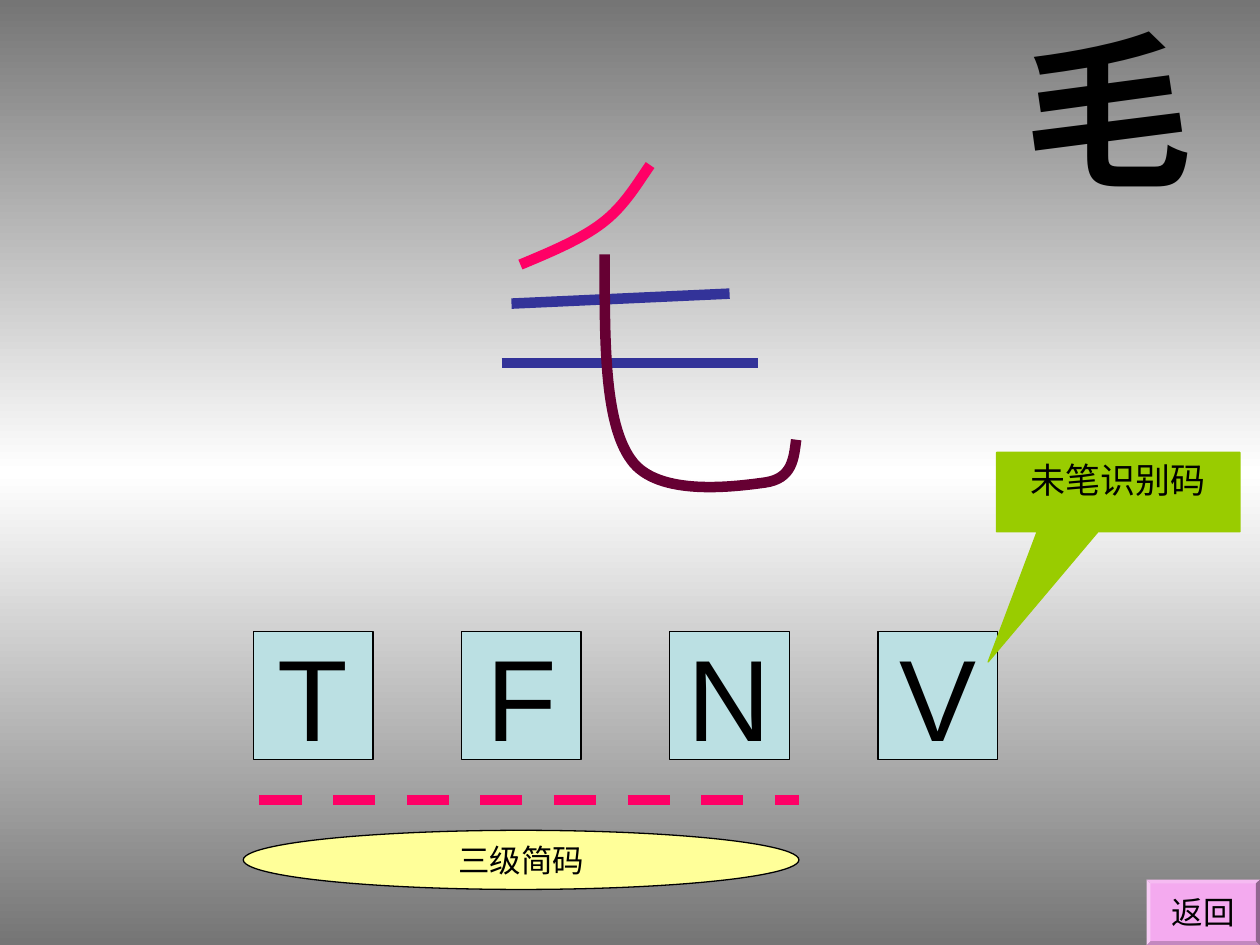
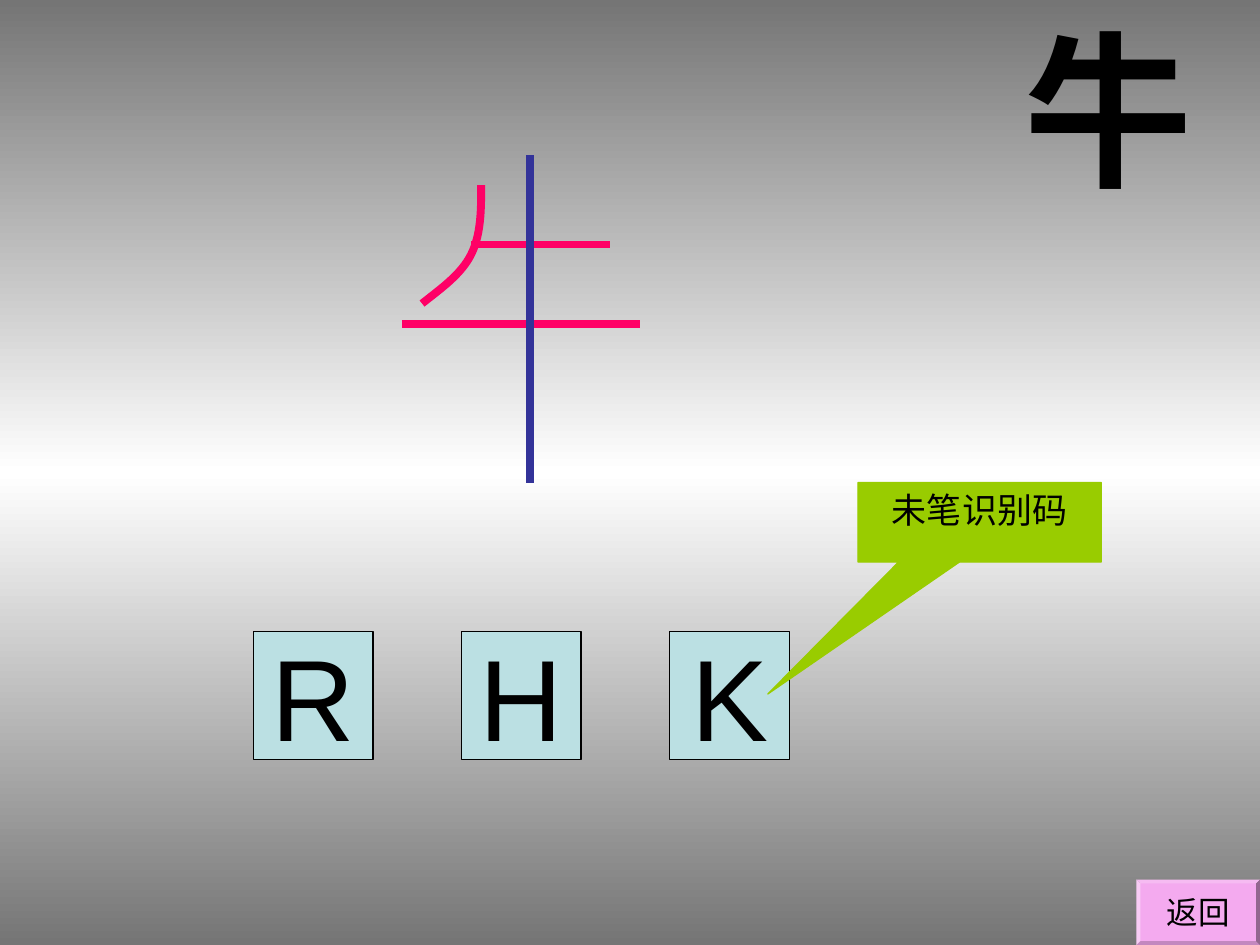
"""Two slides that show how a Chinese character is split into input-code keys."""
from copy import deepcopy
from dataclasses import dataclass

from pptx import Presentation
from pptx import util as u
from pptx.dml.color import RGBColor
from pptx.enum import dml, shapes, text
from pptx.oxml import ns, xmlchemy

Pt = u.Pt
SHAPE = shapes.MSO_SHAPE


@dataclass(frozen=True)
class Theme:
    """Colours, font and type sizes of the deck."""
    font: str = "Arial"
    ink: str = "000000"
    edge: str = "757575"
    middle: str = "FFFFFF"
    tile: str = "BBE0E3"
    note: str = "FFFF99"
    button: str = "F4AAEF"
    callout: str = "99CC00"
    pink: str = "FF0066"
    blue: str = "333399"
    plum: str = "660033"
    title_size: int = 96
    key_size: int = 66
    callout_size: int = 20
    label_size: int = 18


theme = Theme()


def write(box, words, size, bold=False, align=text.PP_ALIGN.CENTER,
          anchor=text.MSO_ANCHOR.MIDDLE, wrap=False, before=0):
    """Put one formatted paragraph into a shape or placeholder."""
    frame = box.text_frame
    frame.word_wrap = wrap
    frame.vertical_anchor = anchor
    para = frame.paragraphs[0]
    para.alignment = align
    para.space_before = Pt(before)
    span = para.add_run()
    span.text = words
    span.font.name = theme.font
    span.font.size = Pt(size)
    span.font.bold = bold
    span.font.color.rgb = RGBColor.from_string(theme.ink)


def draw_stroke(page, points, colour, width, dash=None):
    """Draw a straight line (two points) or a chain of Bezier curves."""
    spots = [(Pt(x), Pt(y)) for x, y in points]
    if len(spots) == 2:
        stroke = page.shapes.add_connector(
            shapes.MSO_CONNECTOR.STRAIGHT, *spots[0], *spots[1])
    else:
        builder = page.shapes.build_freeform(*spots[0])
        builder.add_line_segments(spots[1:], close=False)
        stroke = builder.convert_to_shape()
        stroke.fill.background()
        # Every three line segments become one cubic curve.
        path = stroke.element.find(".//" + ns.qn("a:path"))
        segments = path.findall(ns.qn("a:lnTo"))
        for first in range(0, len(segments), 3):
            curve = xmlchemy.OxmlElement("a:cubicBezTo")
            for segment in segments[first:first + 3]:
                curve.append(segment[0])
                path.remove(segment)
            path.append(curve)
    stroke.line.color.rgb = RGBColor.from_string(colour)
    stroke.line.width = Pt(width)
    if dash:
        stroke.line.dash_style = dash
    stroke.element.spPr.append(xmlchemy.OxmlElement("a:effectLst"))


deck = Presentation()
deck.slide_width, deck.slide_height = Pt(720), Pt(540)

# Shared background: grey, white, grey from top to bottom
master = deck.slide_master
backdrop = master.background.fill
backdrop.gradient()
backdrop.gradient_angle = 90
stop_list = master.element.find(".//" + ns.qn("a:gsLst"))
stop_list.append(deepcopy(stop_list[0]))
stop_looks = [(0, theme.edge), (0.5, theme.middle), (1, theme.edge)]
for stop, (position, colour) in zip(backdrop.gradient_stops, stop_looks):
    stop.position = position
    stop.color.rgb = RGBColor.from_string(colour)

# Key tiles share one row; the button ends at the lower right corner
TILE_LEFT, TILE_TOP, TILE_WIDTH, TILE_HEIGHT, TILE_STEP = 144.7, 360.7, 68.4, 73.4, 119
BUTTON_TOP = 502.6

lessons = [
    dict(
        character="毛", keys="TFNV", width=6,
        strokes=[
            (theme.pink, [(371.5, 94.3), (363.6, 105.8), (356.4, 118.1), (344.2, 127.4),
                          (331.9, 136.8), (314.6, 144), (297.4, 151.2)]),
            (theme.blue, [(292.3, 173.5), (416.9, 167.8)]),
            (theme.blue, [(286.6, 207.4), (433.4, 207.4)]),
            (theme.plum, [(345.6, 145.4), (345.6, 193), (344.9, 241.2), (360.7, 262.8),
                          (375.8, 284.4), (421.2, 277.9), (437, 275.8),
                          (452.9, 273.6), (453.6, 262.1), (455, 251.3)]),
        ],
        short_code="三级简码", button_left=655.2,
        callout_at=(569.5, 258.5), callout_tip=(-0.535, 2.139),
    ),
    dict(
        character="牛", keys="RHK", width=4.5,
        strokes=[
            (theme.pink, [(275, 105.8), (275, 119.5), (275, 133.9), (269.3, 145.4),
                          (263.5, 157), (252, 164.9), (241.2, 173.5)]),
            (theme.pink, [(269.3, 139.7), (348.5, 139.7)]),
            (theme.pink, [(229.7, 185), (365.8, 185)]),
            (theme.blue, [(303.1, 88.6), (303.1, 275.8)]),
        ],
        short_code=None, button_left=649.4,
        callout_at=(490.3, 275.8), callout_tip=(-0.871, 2.161),
    ),
]

for lesson in lessons:
    page = deck.slides.add_slide(deck.slide_layouts[5])

    title = page.shapes.title
    title.left, title.top, title.width, title.height = Pt(578), Pt(0), Pt(142), Pt(122.4)
    write(title, lesson["character"], theme.title_size, bold=True, wrap=True, before=60,
          align=text.PP_ALIGN.LEFT, anchor=text.MSO_ANCHOR.TOP)
    title.text_frame.auto_size = text.MSO_AUTO_SIZE.SHAPE_TO_FIT_TEXT

    for colour, points in lesson["strokes"]:
        draw_stroke(page, points, colour, lesson["width"])

    # Each part: kind, bounds, adjustments, fill, outline, words, size, text layout
    parts = [
        (SHAPE.RECTANGLE,
         (TILE_LEFT + number * TILE_STEP, TILE_TOP, TILE_WIDTH, TILE_HEIGHT),
         (), theme.tile, theme.ink, key, theme.key_size, {})
        for number, key in enumerate(lesson["keys"])
    ]
    if lesson["short_code"]:
        draw_stroke(page, [(148.3, 457.2), (456.5, 457.2)], theme.pink, 6,
                    dash=dml.MSO_LINE.DASH)
        parts.append((SHAPE.OVAL, (139, 474.5, 317.5, 33.8), (), theme.note, theme.ink,
                      lesson["short_code"], theme.label_size, {}))
    left = lesson["button_left"]
    parts.append((SHAPE.BEVEL, (left, BUTTON_TOP, 720 - left, 540 - BUTTON_TOP), (0.06,),
                  theme.button, None, "返回", theme.label_size, {}))
    parts.append((SHAPE.RECTANGULAR_CALLOUT, (*lesson["callout_at"], 139, 45.4),
                  lesson["callout_tip"], theme.callout, theme.callout, "未笔识别码",
                  theme.callout_size, dict(anchor=text.MSO_ANCHOR.TOP, wrap=True)))

    for kind, bounds, adjustments, fill, outline, words, size, layout in parts:
        box = page.shapes.add_shape(kind, *[Pt(length) for length in bounds])
        box.shadow.inherit = False
        for index, value in enumerate(adjustments):
            box.adjustments[index] = value
        box.fill.solid()
        box.fill.fore_color.rgb = RGBColor.from_string(fill)
        if outline:
            box.line.color.rgb = RGBColor.from_string(outline)
            box.line.width = Pt(0.75)
        else:
            box.line.fill.background()
        write(box, words, size, **layout)

deck.save("out.pptx")
